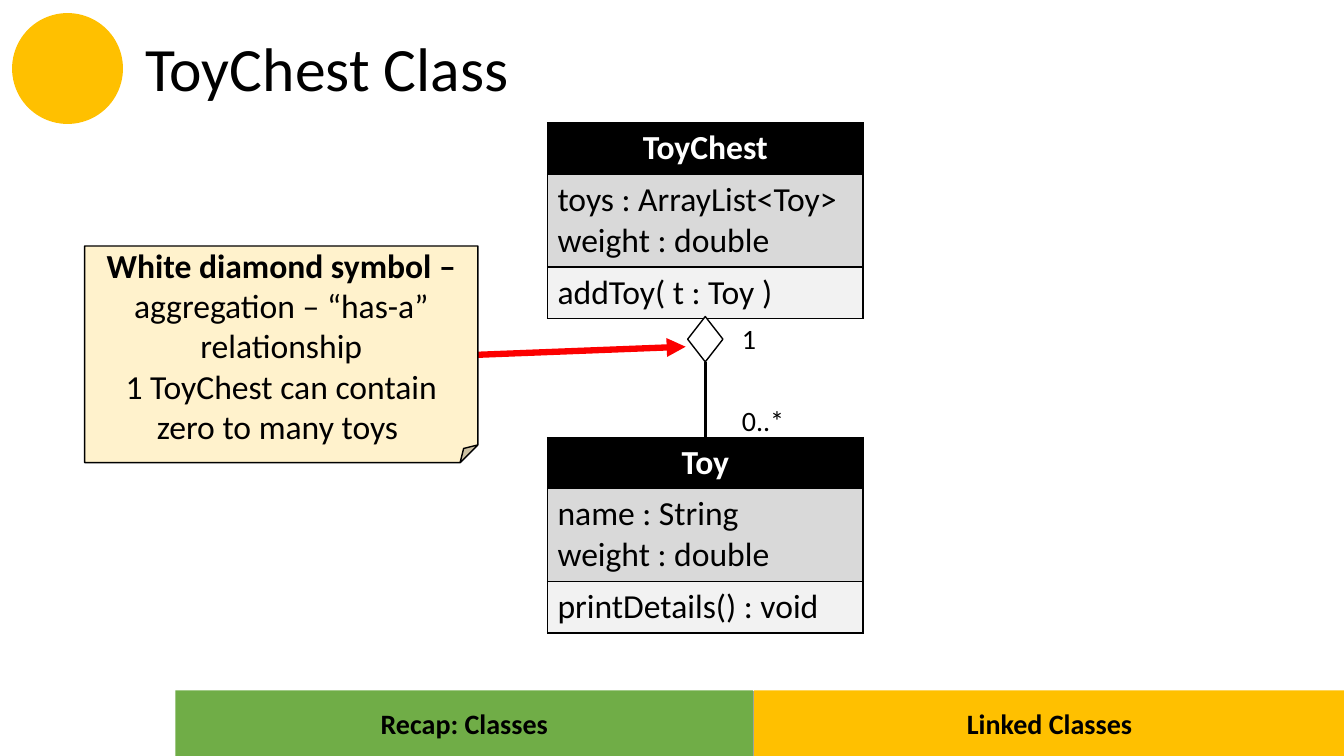
import dataclasses
import typing

import lxml.etree
import pptx
import pptx.dml.color
import pptx.enum.shapes
import pptx.enum.text
import pptx.oxml
import pptx.oxml.ns
import pptx.util

Inches = pptx.util.Inches
Pt = pptx.util.Pt
PresetShape = pptx.enum.shapes.MSO_SHAPE
Align = pptx.enum.text.PP_ALIGN
Anchor = pptx.enum.text.MSO_ANCHOR

FONT = "Calibri"
COLORS = {
    "black": "000000",
    "white": "FFFFFF",
    "attributes": "D9D9D9",
    "methods": "F2F2F2",
    "note": "FFF2CC",
    "arrow": "FC0000",
    "gray": "A5A5A5",
    "green": "70AD47",
    "gold": "FFC000",
}
LINE_HEIGHT = 0.41
CELL_MARGIN = 0.05
CLASS_LEFT, CLASS_WIDTH = 5.43, 3.13


@dataclasses.dataclass
class ClassBox:
    name: str
    attributes: list[str]
    methods: list[str]
    top: float


@dataclasses.dataclass
class Block:
    preset: PresetShape
    left: float
    top: float
    width: float
    height: float
    fill: str
    line: typing.Optional[str] = None
    label: str = ""


@dataclasses.dataclass
class Multiplicity:
    text: str
    top: float
    width: float


@dataclasses.dataclass
class Link:
    start: tuple[float, float]
    end: tuple[float, float]
    color: str
    width: float
    arrow: bool = False


CLASS_BOXES = [
    ClassBox("Toy", ["name : String", "weight : double"], ["printDetails() : void"], 4.34),
    ClassBox("ToyChest", ["toys : ArrayList<Toy>", "weight : double"], ["addToy( t : Toy )"], 1.22),
]
BLOCKS = [
    Block(PresetShape.RECTANGLE, 1.75, 6.86, 11.59, 0.63, "gray", "gray"),
    Block(PresetShape.RECTANGLE, 1.74, 6.85, 5.73, 0.65, "green", label="Recap: Classes"),
    Block(PresetShape.RECTANGLE, 7.48, 6.85, 5.86, 0.65, "gold", label="Linked Classes"),
    Block(PresetShape.OVAL, 0.12, 0.13, 1.1, 1.1, "gold"),
    Block(PresetShape.DIAMOND, 6.82, 3.14, 0.35, 0.45, "white", "black"),
]
NOTE = Block(PresetShape.FOLDED_CORNER, 0.84, 2.44, 3.9, 2.15, "note", "black")
MULTIPLICITIES = [Multiplicity("1", 3.14, 0.34), Multiplicity("0..*", 3.95, 0.62)]
LINKS = [
    Link((7, 3.59), (7, 4.34), "black", 2.25),
    Link((4.74, 3.52), (6.8, 3.44), "arrow", 4.5, arrow=True),
]


def rgb(name: str) -> pptx.dml.color.RGBColor:
    return pptx.dml.color.RGBColor.from_string(COLORS[name])


def add_text(paragraph, text: str, *, size: float = 24, color: str = "black",
             bold: bool = False, align=Align.LEFT) -> None:
    """Append one formatted run to the paragraph."""
    paragraph.alignment = align
    run = paragraph.add_run()
    run.text = text
    run.font.name = FONT
    run.font.size = Pt(size)
    run.font.bold = bold
    run.font.color.rgb = rgb(color)


def add_block(slide, block: Block):
    shape = slide.shapes.add_shape(
        block.preset, Inches(block.left), Inches(block.top), Inches(block.width), Inches(block.height)
    )
    shape.shadow.inherit = False
    shape.fill.solid()
    shape.fill.fore_color.rgb = rgb(block.fill)
    if block.line:
        shape.line.color.rgb = rgb(block.line)
        shape.line.width = Pt(1)
    else:
        shape.line.fill.background()
    if block.label:
        shape.text_frame.vertical_anchor = Anchor.MIDDLE
        add_text(shape.text_frame.paragraphs[0], block.label, size=20, bold=True, align=Align.CENTER)
    return shape


def add_note(slide) -> None:
    shape = add_block(slide, NOTE)
    guides = shape._element.spPr.find(".//" + pptx.oxml.ns.qn("a:avLst"))
    lxml.etree.SubElement(guides, pptx.oxml.ns.qn("a:gd"), name="adj", fmla="val 8200")
    frame = shape.text_frame
    frame.word_wrap = True
    frame.vertical_anchor = Anchor.MIDDLE
    first = frame.paragraphs[0]
    add_text(first, "White diamond symbol – ", bold=True, align=Align.CENTER)
    add_text(first, "aggregation – “has-a” relationship", align=Align.CENTER)
    add_text(frame.add_paragraph(), "1 ToyChest can contain zero to many toys ", align=Align.CENTER)


def add_borders(cell) -> None:
    properties = cell._tc.get_or_add_tcPr()
    for position, side in enumerate(("lnL", "lnR", "lnT", "lnB")):
        border = pptx.oxml.parse_xml(
            f'<a:{side} {pptx.oxml.ns.nsdecls("a")} w="{Pt(1)}"><a:solidFill>'
            f'<a:srgbClr val="{COLORS["black"]}"/></a:solidFill></a:{side}>'
        )
        properties.insert(position, border)


def add_class_box(slide, box: ClassBox) -> None:
    sections = [([box.name], "black"), (box.attributes, "attributes"), (box.methods, "methods")]
    heights = [len(lines) * LINE_HEIGHT + 2 * CELL_MARGIN for lines, _ in sections]
    table = slide.shapes.add_table(
        len(sections), 1, Inches(CLASS_LEFT), Inches(box.top), Inches(CLASS_WIDTH), Inches(sum(heights))
    ).table
    table.horz_banding = False
    for index, (lines, fill) in enumerate(sections):
        table.rows[index].height = Inches(heights[index])
        cell = table.cell(index, 0)
        cell.fill.solid()
        cell.fill.fore_color.rgb = rgb(fill)
        add_borders(cell)
        header = index == 0
        for number, line in enumerate(lines):
            frame = cell.text_frame
            paragraph = frame.add_paragraph() if number else frame.paragraphs[0]
            add_text(paragraph, line, color="white" if header else "black", bold=header,
                     align=Align.CENTER if header else Align.LEFT)


def add_link(slide, link: Link) -> None:
    points = [Inches(value) for value in (*link.start, *link.end)]
    connector = slide.shapes.add_connector(pptx.enum.shapes.MSO_CONNECTOR.STRAIGHT, *points)
    connector.line.color.rgb = rgb(link.color)
    connector.line.width = Pt(link.width)
    if link.arrow:
        line = connector.line._get_or_add_ln()
        lxml.etree.SubElement(line, pptx.oxml.ns.qn("a:tailEnd"), type="triangle")
    lxml.etree.SubElement(connector._element.spPr, pptx.oxml.ns.qn("a:effectLst"))


def add_multiplicity(slide, label: Multiplicity) -> None:
    box = slide.shapes.add_textbox(Inches(7.26), Inches(label.top), Inches(label.width), Inches(0.44))
    box.text_frame.word_wrap = False
    add_text(box.text_frame.paragraphs[0], label.text, size=20)


def add_title(slide, text: str) -> None:
    title = slide.shapes.title
    title.left, title.top = Inches(1.34), Inches(0.22)
    title.width, title.height = Inches(11.57), Inches(0.97)
    title.text_frame.vertical_anchor = Anchor.MIDDLE
    paragraph = title.text_frame.paragraphs[0]
    paragraph.line_spacing = 0.9
    add_text(paragraph, text, size=44)


def main() -> None:
    presentation = pptx.Presentation()
    presentation.slide_width = Inches(13.33)
    presentation.slide_height = Inches(7.5)
    slide = presentation.slides.add_slide(presentation.slide_layouts.get_by_name("Title Only"))
    add_title(slide, "ToyChest Class")
    for draw, items in ((add_class_box, CLASS_BOXES), (add_block, BLOCKS),
                        (add_link, LINKS), (add_multiplicity, MULTIPLICITIES)):
        for item in items:
            draw(slide, item)
    add_note(slide)
    presentation.save("out.pptx")


if __name__ == "__main__":
    main()
